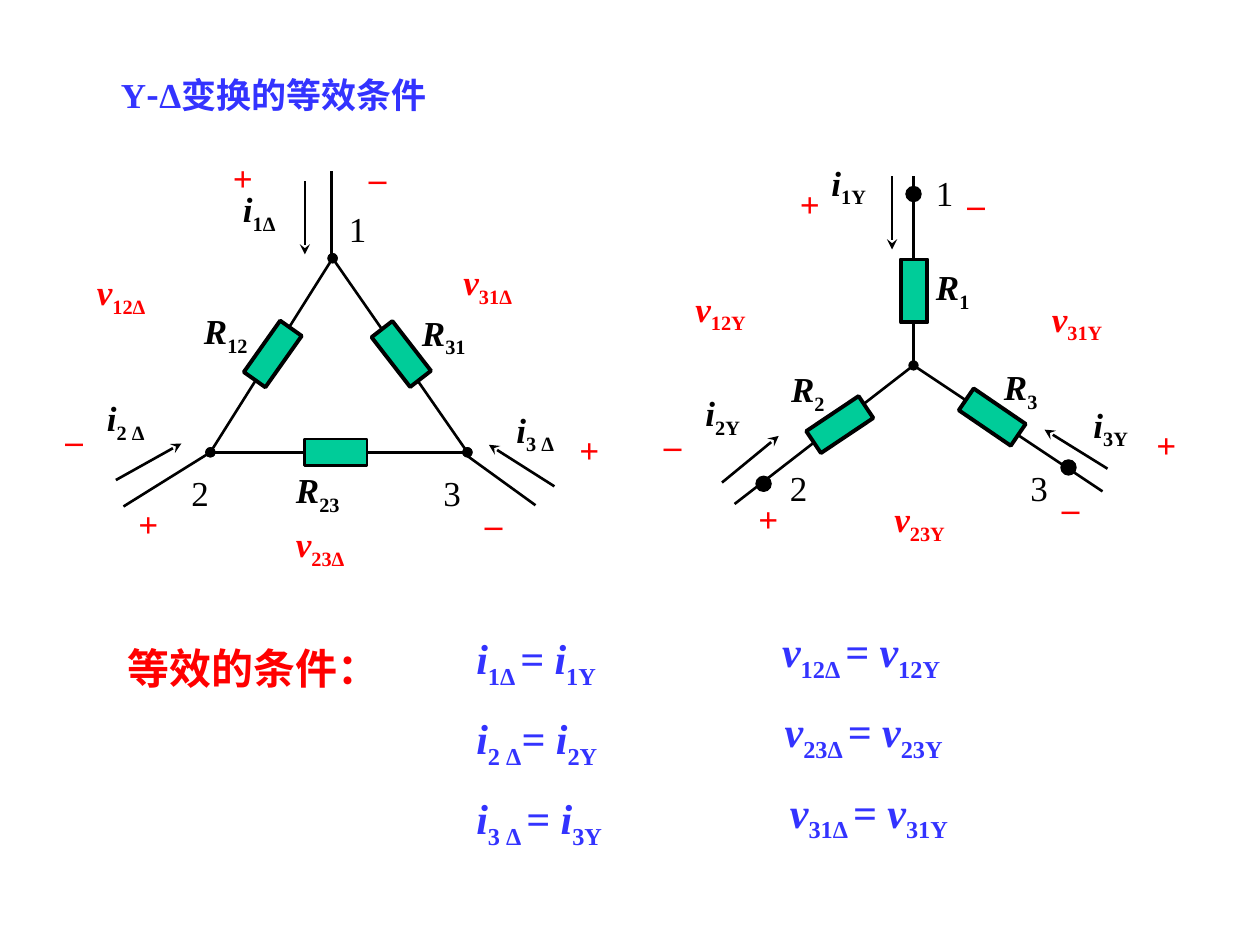
from dataclasses import dataclass

import pptx
import pptx.dml.color
import pptx.enum.shapes
import pptx.enum.text
import pptx.oxml
import pptx.oxml.ns
import pptx.util
from pptx.util import Inches

COLORS = {"ink": "000000", "red": "FF0000", "blue": "3333FF", "resistor": "00CC99"}
LATIN, CHINESE = "Times New Roman", "Noto Sans CJK SC"
LABEL_HEIGHT = 0.43
RESISTOR_WIDTH, RESISTOR_LENGTH = 0.21, 0.5
DOT = 0.12


@dataclass
class Label:
    text: str
    left: float
    top: float
    width: float
    sub: str = ""
    color: str = "ink"
    bold: bool = True


@dataclass
class Wire:
    x1: float
    y1: float
    x2: float
    y2: float
    head: str = ""
    tail: str = ""


@dataclass
class Resistor:
    left: float
    top: float
    angle: float
    outline: float = 2.25


def rgb(name: str) -> pptx.dml.color.RGBColor:
    return pptx.dml.color.RGBColor.from_string(COLORS[name])


def add_element(parent, tag: str, **attributes: str) -> None:
    element = pptx.oxml.parse_xml(f"<a:{tag} {pptx.oxml.ns.nsdecls('a')}/>")
    for key, value in attributes.items():
        element.set(key, value)
    parent.append(element)


def style_paragraph(para, size: float, color: str, bold: bool) -> None:
    font = para.font
    font.name, font.size, font.bold = LATIN, pptx.util.Pt(size), bold
    font.color.rgb = rgb(color)
    add_element(font._element, "ea", typeface=CHINESE)


def add_symbol(para, text: str, sub: str) -> None:
    """Write an italic symbol followed by an upright subscript."""
    span = para.add_run()
    span.text, span.font.italic = text, True
    span = para.add_run()
    span.text, span.font.italic = sub, False
    span.font._element.set("baseline", "-25000")


def place(box, left: float, top: float, width: float, height: float) -> None:
    box.left, box.top = Inches(left), Inches(top)
    box.width, box.height = Inches(width), Inches(height)


def add_label(page, label: Label) -> None:
    box = page.shapes.add_textbox(Inches(label.left), Inches(label.top),
                                  Inches(label.width), Inches(LABEL_HEIGHT))
    box.text_frame.word_wrap = True
    para = box.text_frame.paragraphs[0]
    style_paragraph(para, 20, label.color, label.bold)
    if label.sub:
        add_symbol(para, label.text, label.sub)
    else:
        para.add_run().text = label.text


def add_wire(page, wire: Wire) -> None:
    line = page.shapes.add_connector(
        pptx.enum.shapes.MSO_CONNECTOR.STRAIGHT,
        Inches(wire.x1), Inches(wire.y1), Inches(wire.x2), Inches(wire.y2))
    line.line.color.rgb = rgb("ink")
    line.line.width = pptx.util.Pt(1.5)
    outline = line.line._get_or_add_ln()
    for tag, kind in (("headEnd", wire.head), ("tailEnd", wire.tail)):
        if kind:
            add_element(outline, tag, type=kind)
    add_element(line._element.spPr, "effectLst")


def add_solid(page, kind, left, top, width, height, fill: str, outline: float):
    shape = page.shapes.add_shape(kind, Inches(left), Inches(top),
                                  Inches(width), Inches(height))
    shape.shadow.inherit = False
    shape.fill.solid()
    shape.fill.fore_color.rgb = rgb(fill)
    shape.line.color.rgb = rgb("ink")
    shape.line.width = pptx.util.Pt(outline)
    return shape


def add_resistor(page, part: Resistor) -> None:
    shape = add_solid(page, pptx.enum.shapes.MSO_SHAPE.RECTANGLE, part.left, part.top,
                      RESISTOR_WIDTH, RESISTOR_LENGTH, "resistor", part.outline)
    shape.rotation = part.angle


def fill_equations(box, rows, align, anchor, wrap: bool) -> None:
    frame = box.text_frame
    frame.auto_size = pptx.enum.text.MSO_AUTO_SIZE.NONE
    frame.word_wrap, frame.vertical_anchor = wrap, anchor
    for index, row in enumerate(rows):
        para = frame.paragraphs[0] if index == 0 else frame.add_paragraph()
        para.alignment = align
        para.space_before = pptx.util.Pt(13 if index else 0)
        properties = para._p.get_or_add_pPr()
        properties.set("marL", "0")
        properties.set("indent", "0")
        add_element(properties, "buNone")
        style_paragraph(para, 24, "blue", True)
        for text, sub in row:
            add_symbol(para, text, sub)


WIRES = [
    # Delta circuit: sides, leads and current arrows
    Wire(1.67, 3.59, 3.71, 3.59, "oval", "oval"),
    Wire(3.71, 3.59, 2.64, 2.05, "oval", "oval"),
    Wire(2.64, 2.05, 1.67, 3.59, "oval", "oval"),
    Wire(2.63, 2.05, 2.63, 1.36),
    Wire(1.67, 3.59, 0.98, 4.02),
    Wire(3.67, 3.59, 4.25, 4.01),
    Wire(2.42, 1.44, 2.42, 2.02, tail="stealth"),
    Wire(0.92, 3.81, 1.44, 3.52, tail="stealth"),
    Wire(4.4, 3.86, 3.88, 3.53, tail="stealth"),
    # Star circuit: branches and current arrows
    Wire(7.25, 1.4, 7.25, 2.9, tail="oval"),
    Wire(7.25, 2.9, 5.83, 4),
    Wire(7.25, 2.9, 8.75, 3.9),
    Wire(7.08, 1.4, 7.08, 1.98, tail="stealth"),
    Wire(5.73, 3.83, 6.18, 3.46, tail="stealth"),
    Wire(8.79, 3.72, 8.29, 3.41, tail="stealth"),
]
RESISTORS = [
    Resistor(2.56, 3.34, 270, 1.5), Resistor(3.08, 2.56, 322.2), Resistor(2.06, 2.56, 35.3),
    Resistor(6.56, 3.12, 56.2), Resistor(7.77, 3.06, 304.3), Resistor(7.15, 2.06, 0),
]
TERMINALS = [(6, 3.78), (7.19, 1.48), (8.42, 3.65)]
SYMBOLS = [
    Label("R", 1.52, 2.41, 0.92, "12"), Label("R", 3.25, 2.42, 0.8, "31"),
    Label("R", 2.25, 3.67, 0.87, "23"), Label("i", 4, 3.19, 0.72, "3 Δ"),
    Label("i", 0.75, 3.1, 0.75, "2 Δ"), Label("i", 1.83, 1.44, 0.83, "1Δ"),
    Label("R", 7.33, 2.06, 0.58, "1"), Label("R", 6.18, 2.87, 0.58, "2"),
    Label("R", 7.87, 2.85, 0.56, "3"), Label("i", 6.5, 1.23, 0.75, "1Y"),
    Label("i", 5.5, 3.06, 0.75, "2Y"), Label("i", 8.58, 3.15, 0.67, "3Y"),
]
VOLTAGES = [("12Δ", 0.67, 2.1), ("23Δ", 2.25, 4.1), ("31Δ", 3.58, 2.02),
            ("12Y", 5.42, 2.23), ("23Y", 7, 3.9), ("31Y", 8.25, 2.31)]
NODES = [("1", 2.67, 1.6), ("2", 1.42, 3.69), ("3", 3.42, 3.69),
         ("1", 7.33, 1.31), ("2", 6.17, 3.65), ("3", 8.08, 3.65)]
SIGNS = {
    "+": [(1.75, 1.19), (1, 3.94), (4.5, 3.35), (6.25, 1.4), (5.92, 3.9), (9.08, 3.31)],
    "–": [(2.83, 1.19), (0.42, 3.27), (3.75, 3.94), (5.17, 3.31), (8.33, 3.81), (7.58, 1.4)],
}
CURRENT_ROWS = [[("i", "1Δ "), ("= i", "1Y")], [("i", "2 Δ"), ("= i", "2Y")],
                [("i", "3 Δ "), ("= i", "3Y")]]
VOLTAGE_ROWS = [[("v", "12Δ "), ("= v", "12Y ")], [("v", "23Δ "), ("= v", "23Y")],
                [(" v", "31Δ "), ("= v", "31Y")]]


def main() -> None:
    align, anchor = pptx.enum.text.PP_ALIGN, pptx.enum.text.MSO_ANCHOR
    deck = pptx.Presentation()
    deck.slide_width, deck.slide_height = Inches(10), Inches(7.5)
    page = deck.slides.add_slide(deck.slide_layouts[3])
    title, currents, voltages = page.placeholders

    # Title
    place(title, 0.86, 0.53, 2.96, LABEL_HEIGHT)
    title.text_frame.auto_size = pptx.enum.text.MSO_AUTO_SIZE.NONE
    title.text_frame.word_wrap = False
    title.text_frame.vertical_anchor = anchor.TOP
    para = title.text_frame.paragraphs[0]
    para.alignment = align.LEFT
    style_paragraph(para, 20, "blue", True)
    for text in ("Y", "-", "Δ变换的等效条件"):
        span = para.add_run()
        span.text = text
        if text == "-":
            span.font.name = CHINESE

    # Circuits
    for wire in WIRES:
        add_wire(page, wire)
    for part in RESISTORS:
        add_resistor(page, part)
    for left, top in TERMINALS:
        add_solid(page, pptx.enum.shapes.MSO_SHAPE.OVAL, left, top, DOT, DOT, "ink", 0.75)

    # Circuit labels
    labels = SYMBOLS + [Label("v", x, y, 0.83, sub, "red") for sub, x, y in VOLTAGES]
    labels += [Label(text, x, y, 0.42, bold=False) for text, x, y in NODES]
    labels += [Label(sign, x, y, 0.42, color="red") for sign, spots in SIGNS.items()
               for x, y in spots]
    for label in labels:
        add_label(page, label)

    # Equivalence conditions
    place(currents, 3.68, 4.97, 1.67, 2.3)
    fill_equations(currents, CURRENT_ROWS, align.LEFT, anchor.TOP, True)
    place(voltages, 6.03, 4.98, 1.65, 1.7)
    fill_equations(voltages, VOLTAGE_ROWS, align.CENTER, anchor.MIDDLE, False)
    heading = page.shapes.add_textbox(Inches(0.91), Inches(5.05), Inches(2.21), Inches(0.5))
    heading.text_frame.word_wrap = False
    heading.text_frame.vertical_anchor = anchor.MIDDLE
    para = heading.text_frame.paragraphs[0]
    para.alignment = align.CENTER
    style_paragraph(para, 24, "red", True)
    para.add_run().text = "等效的条件："

    deck.save("out.pptx")


if __name__ == "__main__":
    main()
